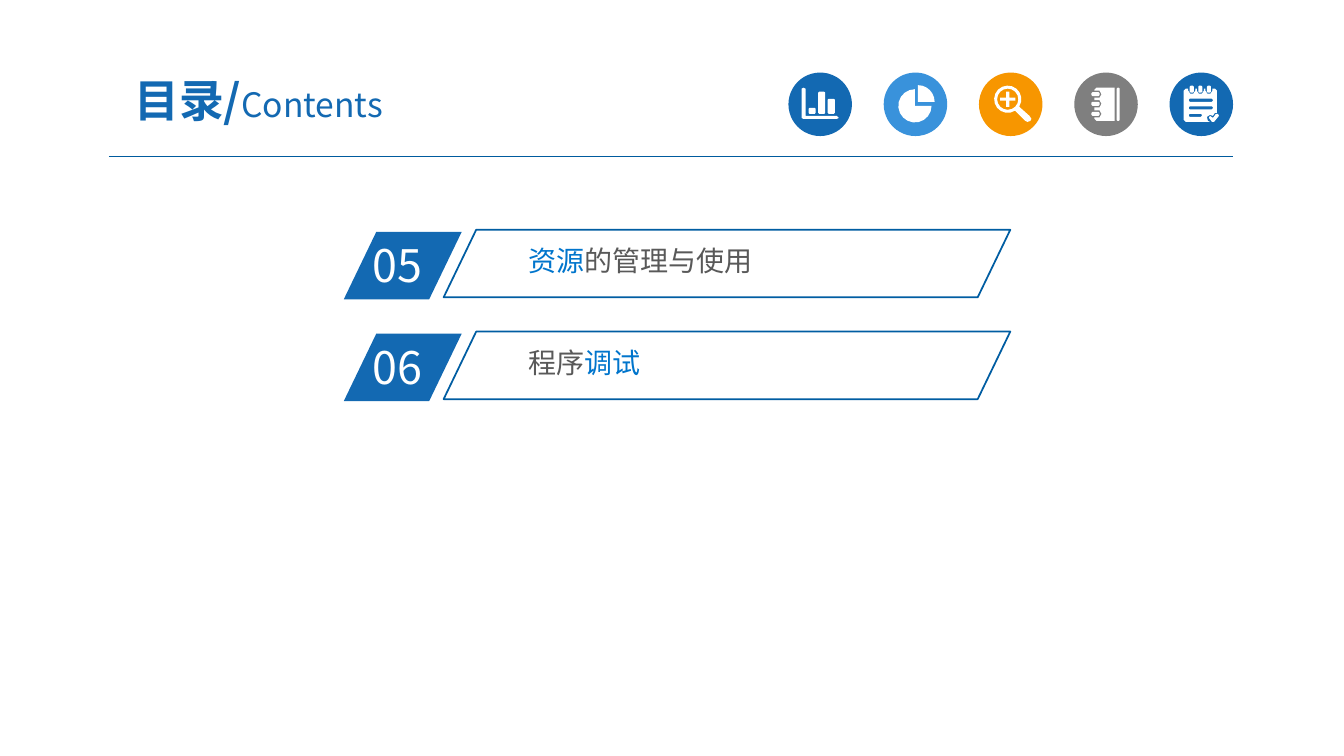
from math import cos, radians, sin

from lxml import etree
from pptx import Presentation
from pptx.dml.color import RGBColor
from pptx.enum.shapes import MSO_CONNECTOR, MSO_SHAPE
from pptx.enum.text import MSO_ANCHOR, MSO_AUTO_SIZE, PP_ALIGN
from pptx.oxml.ns import qn
from pptx.util import Inches, Pt

BLUE = RGBColor(0x13, 0x69, 0xB2)
LIGHT_BLUE = RGBColor(0x39, 0x92, 0xDB)
ORANGE = RGBColor(0xF7, 0x96, 0x00)
GRAY = RGBColor(0x7F, 0x7F, 0x7F)
WHITE = RGBColor(0xFF, 0xFF, 0xFF)
RULE_BLUE = RGBColor(0x00, 0x5B, 0x9E)
FRAME_BLUE = RGBColor(0x00, 0x5D, 0xA2)
KEYWORD_BLUE = RGBColor(0x00, 0x75, 0xCC)
TEXT_GRAY = RGBColor(0x59, 0x59, 0x59)
FONT = "Noto Sans CJK SC"

OVAL = MSO_SHAPE.OVAL
SLANT = MSO_SHAPE.PARALLELOGRAM
STRAIGHT = MSO_CONNECTOR.STRAIGHT
MIDDLE, TOP = MSO_ANCHOR.MIDDLE, MSO_ANCHOR.TOP
CENTER, LEFT = PP_ALIGN.CENTER, PP_ALIGN.LEFT
NO_AUTOFIT = MSO_AUTO_SIZE.NONE

DISC = 0.63
SLANT_RATIO = 0.482


def style_part(part, fill=None, line=None):
    part.shadow.inherit = False
    if fill is None:
        part.fill.background()
    else:
        part.fill.solid()
        part.fill.fore_color.rgb = fill
    if line is None:
        part.line.fill.background()
    else:
        part.line.color.rgb = line
        part.line.width = Pt(1.25)


def add_part(slide, kind, left, top, width, height, **colors):
    part = slide.shapes.add_shape(kind, Inches(left), Inches(top), Inches(width), Inches(height))
    if kind == SLANT:
        part.adjustments[0] = SLANT_RATIO
    style_part(part, **colors)


def write_text(holder, runs, align=LEFT, anchor=TOP, margins=(0.1, 0.05)):
    frame = holder.text_frame
    frame.word_wrap = True
    frame.auto_size = NO_AUTOFIT
    frame.vertical_anchor = anchor
    frame.margin_left = frame.margin_right = Inches(margins[0])
    frame.margin_top = frame.margin_bottom = Inches(margins[1])
    paragraph = frame.paragraphs[0]
    paragraph.alignment = align
    paragraph.space_before = Pt(0)
    for words, size, color, bold in runs:
        run = paragraph.add_run()
        run.text = words
        run.font.name = FONT
        run.font.size = Pt(size)
        run.font.bold = bold
        run.font.color.rgb = color
        east_asian = etree.SubElement(run.font._element, qn("a:ea"))
        east_asian.set("typeface", FONT)


def add_label(slide, left, top, width, height, runs, **text_format):
    label = slide.shapes.add_textbox(Inches(left), Inches(top), Inches(width), Inches(height))
    write_text(label, runs, **text_format)


def bar(left, top, width, height, cut=0.01):
    right, bottom = left + width, top + height
    return [(left + cut, top), (right - cut, top), (right, top + cut), (right, bottom - cut),
            (right - cut, bottom), (left + cut, bottom), (left, bottom - cut), (left, top + cut)]


def arc(x, y, radius, start=0, end=360, steps=16):
    angles = [radians(start + (end - start) * step / steps) for step in range(steps + 1)]
    return [(x + radius * cos(angle), y + radius * sin(angle)) for angle in angles]


def bar_chart():
    axes = [(0.13, 0.16), (0.15, 0.15), (0.17, 0.16), (0.17, 0.43), (0.48, 0.43),
            (0.5, 0.45), (0.48, 0.46), (0.15, 0.46), (0.13, 0.45)]
    columns = [bar(0.2 + 0.095 * index, 0.41 - height, 0.07, height)
               for index, height in enumerate((0.06, 0.22, 0.15))]
    return [axes] + columns


def pie_chart():
    return [[(0.34, 0.29)] + arc(0.34, 0.29, 0.165, -90, 0, 6),
            [(0.31, 0.33)] + arc(0.31, 0.33, 0.165, 0, 270, 14)]


def magnifier():
    handle = [(0.5, 0.43), (0.52, 0.46), (0.51, 0.48), (0.48, 0.49), (0.46, 0.48)]
    x, y, arm, half = 0.285, 0.265, 0.075, 0.015
    plus = [(-half, -arm), (half, -arm), (half, -half), (arm, -half), (arm, half), (half, half),
            (half, arm), (-half, arm), (-half, half), (-arm, half), (-arm, -half), (-half, -half)]
    return [arc(x, y, 0.135, 57, 393) + handle, arc(x, y, 0.105)[::-1],
            [(x + dx, y + dy) for dx, dy in plus]]


def notebook():
    rings = (0.41, 0.31, 0.215)
    cover = [(0.4, 0.15), (0.4, 0.48), (0.22, 0.48), (0.2, 0.46)]
    for y in rings:
        cover += [(0.2, y + 0.035), (0.25, y + 0.035), (0.27, y), (0.25, y - 0.035),
                  (0.2, y - 0.035)]
    cover += [(0.2, 0.17), (0.22, 0.15)]
    return [cover, bar(0.42, 0.15, 0.03, 0.33)] + [bar(0.17, y - 0.02, 0.08, 0.04) for y in rings]


def notepad():
    rings = (0.22, 0.305, 0.39)
    sheet = [(0.14, 0.18), (0.16, 0.16)]
    for x in rings:
        sheet += [(x - 0.035, 0.16), (x - 0.035, 0.18), (x - 0.015, 0.21),
                  (x + 0.015, 0.21), (x + 0.035, 0.18), (x + 0.035, 0.16)]
    sheet += [(0.45, 0.16), (0.47, 0.18), (0.47, 0.4), (0.45, 0.4), (0.43, 0.43), (0.4, 0.42),
              (0.37, 0.44), (0.38, 0.48), (0.4, 0.49), (0.16, 0.49), (0.14, 0.47)]
    rules = [bar(0.19, 0.26 + 0.075 * row, width, 0.03)[::-1]
             for row, width in enumerate((0.24, 0.24, 0.13))]
    tick = [(0.39, 0.45), (0.4, 0.43), (0.43, 0.45), (0.46, 0.41), (0.48, 0.41),
            (0.49, 0.43), (0.44, 0.49), (0.42, 0.49)]
    return [sheet, tick] + rules + [bar(x - 0.02, 0.13, 0.04, 0.07) for x in rings]


def draw_symbol(slide, left, top, contours):
    placed = [[(Inches(left + x), Inches(top + y)) for x, y in contour] for contour in contours]
    outline = slide.shapes.build_freeform(*placed[0][0])
    for index, points in enumerate(placed):
        if index:
            outline.move_to(*points[0])
        outline.add_line_segments(points[1:])
    style_part(outline.convert_to_shape(), fill=WHITE)


def build_icons(slide, left, top, width):
    icons = [
        (BLUE, bar_chart()),
        (LIGHT_BLUE, pie_chart()),
        (ORANGE, magnifier()),
        (GRAY, notebook()),
        (BLUE, notepad()),
    ]
    pitch = (width - DISC) / (len(icons) - 1)
    for index, (color, contours) in enumerate(icons):
        x = left + pitch * index
        add_part(slide, OVAL, x, top, DISC, DISC, fill=color)
        draw_symbol(slide, x, top, contours)


def build_header(slide, left, top, width, height):
    rule = slide.shapes.add_connector(STRAIGHT, Inches(left), Inches(top + height),
                                      Inches(left + width), Inches(top + height))
    rule.line.color.rgb = RULE_BLUE
    rule.line.width = Pt(0.75)
    etree.SubElement(rule._element.spPr, qn("a:effectLst"))
    build_icons(slide, left + 6.74, top + 0.09, 4.41)
    heading = slide.shapes.title
    heading.left, heading.top = Inches(left - 0.16), Inches(top)
    heading.width, heading.height = Inches(3.29), Inches(0.72)
    write_text(heading, [("目录/", 32, BLUE, True), ("Contents", 24, BLUE, False)],
               align=CENTER, anchor=MIDDLE, margins=(0.13, 0.07))


def build_chapter(slide, left, top, number, topic):
    add_part(slide, SLANT, left, top + 0.02, 1.17, 0.67, fill=BLUE)
    add_label(slide, left + 0.19, top + 0.03, 1.12, 0.64, [(number, 32, WHITE, False)])
    add_label(slide, left + 1.76, top + 0.1, 4.12, 0.41,
              [(words, 20, color, False) for words, color in topic], margins=(0.07, 0.04))
    add_part(slide, SLANT, left + 0.99, top, 5.62, 0.67, line=FRAME_BLUE)


def main():
    deck = Presentation()
    deck.slide_width, deck.slide_height = Inches(13.33), Inches(7.5)
    slide = deck.slides.add_slide(deck.slide_layouts[5])
    build_header(slide, 1.08, 0.63, 11.15, 0.92)
    chapters = [
        ("05", [("资源", KEYWORD_BLUE), ("的管理与使用", TEXT_GRAY)]),
        ("06", [("程序", TEXT_GRAY), ("调试", KEYWORD_BLUE)]),
    ]
    for index, (number, topic) in enumerate(chapters):
        build_chapter(slide, 3.41, 2.28 + 1.01 * index, number, topic)
    deck.save("out.pptx")


if __name__ == "__main__":
    main()
